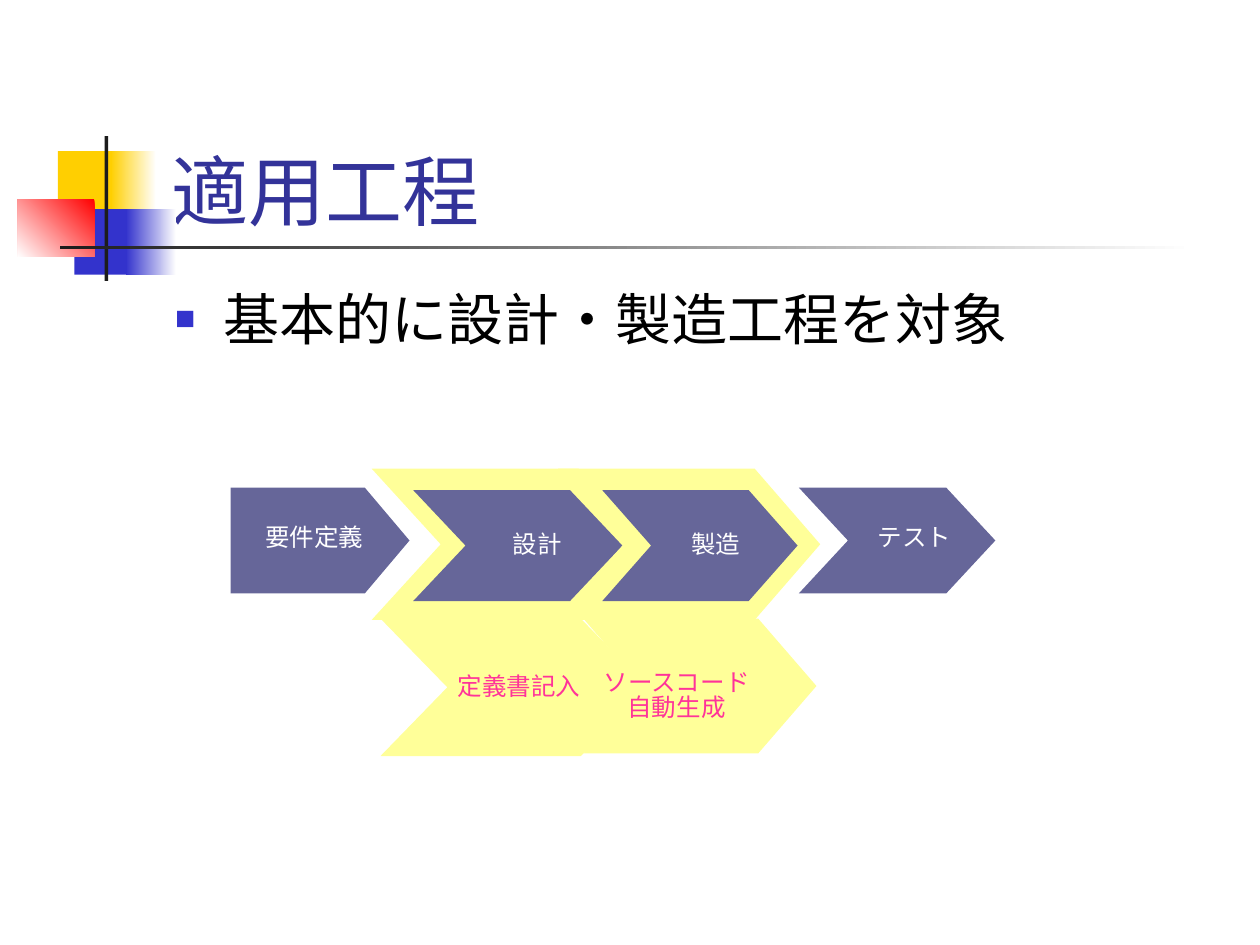
from dataclasses import dataclass

from lxml import etree
from pptx import Presentation
from pptx.dml.color import RGBColor
from pptx.enum.shapes import MSO_SHAPE
from pptx.enum.text import MSO_ANCHOR, MSO_AUTO_SIZE, PP_ALIGN
from pptx.oxml.ns import qn
from pptx.util import Inches, Pt

RECTANGLE, PENTAGON, CHEVRON = MSO_SHAPE.RECTANGLE, MSO_SHAPE.PENTAGON, MSO_SHAPE.CHEVRON
LEFT, CENTER = PP_ALIGN.LEFT, PP_ALIGN.CENTER
TOP, BOTTOM = MSO_ANCHOR.TOP, MSO_ANCHOR.BOTTOM
NO_FIT, GROW = MSO_AUTO_SIZE.NONE, MSO_AUTO_SIZE.SHAPE_TO_FIT_TEXT


@dataclass(frozen=True)
class Theme:
    heading_font: str = "Roboto"
    label_font: str = "Times New Roman"
    title_size: int = 44
    body_size: int = 32
    label_size: int = 14
    title: str = "333399"
    body: str = "000000"
    white: str = "FFFFFF"
    yellow: str = "FFCF01"
    blue: str = "3333CC"
    red: str = "FF0000"
    dark: str = "1C1C1C"
    stage: str = "666699"
    highlight: str = "FFFF99"
    accent: str = "FF3399"


class SlideBuilder:
    def __init__(self, slide, theme):
        self.slide = slide
        self.theme = theme

    def place(self, shape, box):
        for name, value in zip(("left", "top", "width", "height"), box):
            setattr(shape, name, Inches(value))

    def format_text(self, paragraph, size, font_name, color, **formats):
        for name, value in formats.items():
            setattr(paragraph, name, value)
        font = paragraph.font
        for name, value in {"size": Pt(size), "name": font_name}.items():
            setattr(font, name, value)
        font.color.rgb = RGBColor.from_string(color)

    def shape(self, kind, box, color, end_color=None, angle=180, parent=None):
        """Draw a flat shape, or a gradient one when end_color is given."""
        shapes = (parent or self.slide).shapes
        shape = shapes.add_shape(kind, *map(Inches, box))
        shape.shadow.inherit = False
        shape.line.fill.background()
        if end_color is None:
            shape.fill.solid()
            shape.fill.fore_color.rgb = RGBColor.from_string(color)
        else:
            shape.fill.gradient()
            shape.fill.gradient_angle = angle
            for stop, value in zip(shape.fill.gradient_stops, (color, end_color)):
                stop.color.rgb = RGBColor.from_string(value)
        return shape

    def arrow(self, box, color, kind=CHEVRON, parent=None):
        """Draw a process arrow whose tip is a quarter of its width."""
        width, height = box[2:]
        shape = self.shape(kind, box, color, parent=parent)
        shape.adjustments[0] = width / 4 / height

    def label(self, box, text, color, parent=None):
        shapes = (parent or self.slide).shapes
        frame = shapes.add_textbox(*map(Inches, box)).text_frame
        frame.word_wrap = True
        frame.auto_size = GROW
        frame.text = text
        for paragraph in frame.paragraphs:
            self.format_text(paragraph, self.theme.label_size, self.theme.label_font,
                             color, alignment=CENTER, line_spacing=0.86)

    def stage(self, text, arrow_box, label_box, kind=CHEVRON, halo_box=None):
        """Group one stage: optional highlight, arrow and label."""
        group = self.slide.shapes.add_group_shape()
        if halo_box:
            self.arrow(halo_box, self.theme.highlight, parent=group)
        self.arrow(arrow_box, self.theme.stage, kind, group)
        self.label(label_box, text, self.theme.white, group)

    def placeholder(self, shape, box, text, anchor):
        self.place(shape, box)
        frame = shape.text_frame
        settings = {"text": text, "vertical_anchor": anchor,
                    "auto_size": NO_FIT, "word_wrap": True}
        for name, value in settings.items():
            setattr(frame, name, value)
        return frame.paragraphs[0]

    def title(self, box, text):
        paragraph = self.placeholder(self.slide.shapes.title, box, text, BOTTOM)
        self.format_text(paragraph, self.theme.title_size, self.theme.heading_font,
                         self.theme.title, alignment=LEFT)

    def bullet(self, box, text):
        paragraph = self.placeholder(self.slide.placeholders[1], box, text, TOP)
        properties = paragraph._p.get_or_add_pPr()
        properties.set("marL", str(Inches(0.38)))
        properties.set("indent", str(Inches(-0.38)))
        color = etree.SubElement(properties, qn("a:buClr"))
        etree.SubElement(color, qn("a:srgbClr"), val=self.theme.blue)
        etree.SubElement(properties, qn("a:buSzPct"), val="60000")
        etree.SubElement(properties, qn("a:buChar"), char="■")
        self.format_text(paragraph, self.theme.body_size, self.theme.heading_font,
                         self.theme.body, alignment=LEFT, space_before=Pt(0))


def main():
    presentation = Presentation()
    presentation.slide_width, presentation.slide_height = Inches(10), Inches(7.5)
    slide = presentation.slides.add_slide(presentation.slide_layouts[1])
    theme = Theme()
    builder = SlideBuilder(slide, theme)

    # Corner ornament and title rule
    ornament = [
        ((0.46, 1.2, 0.48, 0.52), theme.yellow),
        ((0.88, 1.2, 0.36, 0.52), theme.white, theme.yellow),
        ((0.59, 1.66, 0.46, 0.52), theme.blue),
        ((1, 1.66, 0.4, 0.52), theme.white, theme.blue),
        ((0.14, 1.58, 0.61, 0.46), theme.red, theme.white, 225),
        ((0.83, 1.08, 0.03, 1.15), theme.dark),
        ((0.48, 1.95, 9, 0.03), theme.white, theme.dark),
    ]
    for part in ornament:
        builder.shape(RECTANGLE, *part)

    # Title and bullet
    builder.title((1.26, 0.67, 8.52, 1.25), "適用工程")
    builder.bullet((1.29, 2.21, 8.5, 4.5), "基本的に設計・製造工程を対象")

    # Process stages, the two middle ones highlighted
    builder.stage("要件定義", (1.83, 3.87, 1.42, 0.84), (2, 4.13, 0.99, 0.3), PENTAGON)
    builder.stage("設計", (3.28, 3.89, 1.66, 0.88), (3.95, 4.18, 0.63, 0.3),
                  halo_box=(2.95, 3.72, 2.19, 1.2))
    builder.stage("製造", (4.78, 3.89, 1.55, 0.88), (5.38, 4.18, 0.6, 0.3),
                  halo_box=(4.43, 3.72, 2.08, 1.2))
    builder.stage("テスト", (6.34, 3.87, 1.56, 0.84), (6.85, 4.13, 0.82, 0.3))

    # What is done in the highlighted stages
    for box in ((4.63, 4.91, 1.85, 1.07), (3.02, 4.91, 2.12, 1.09)):
        builder.arrow(box, theme.highlight)
    builder.label((3.49, 5.31, 1.26, 0.3), "定義書記入", theme.accent)
    builder.label((4.66, 5.28, 1.42, 0.5), "ソースコード\n自動生成", theme.accent)

    presentation.save("out.pptx")


if __name__ == "__main__":
    main()
